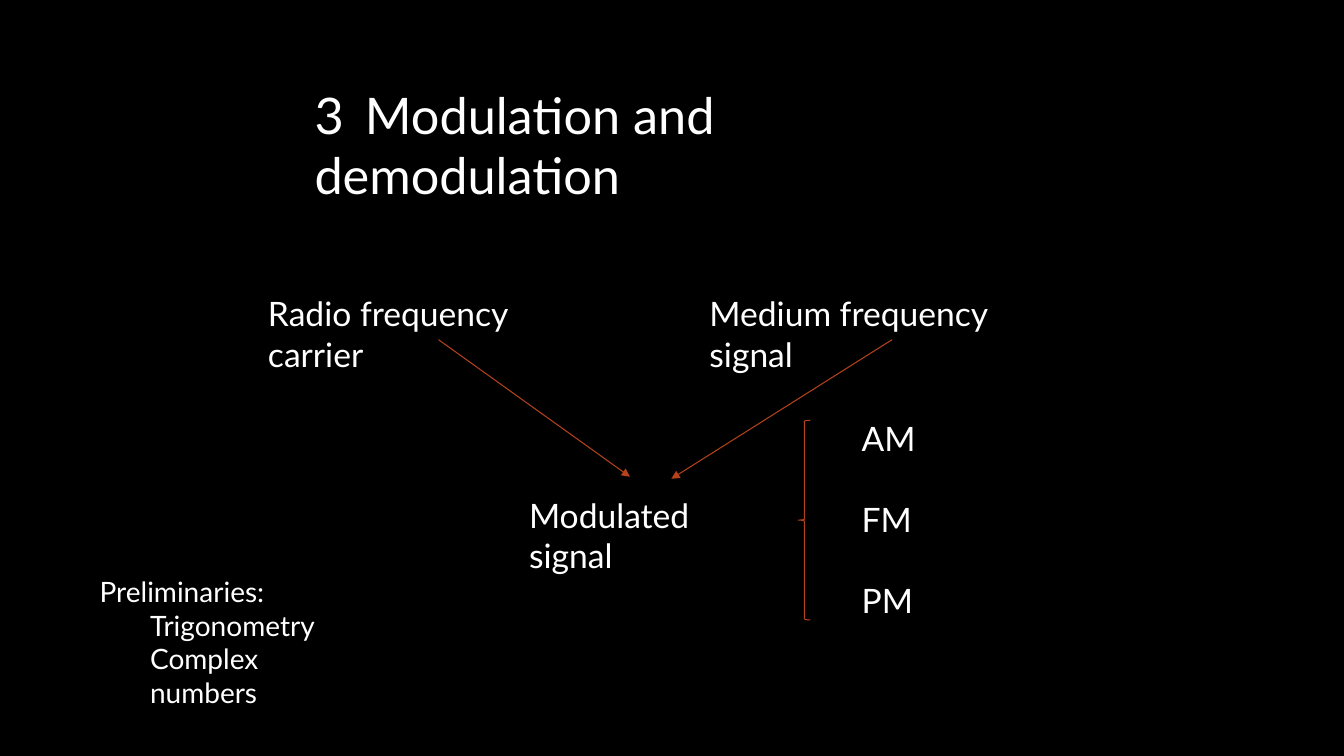
from lxml import etree
from pptx import Presentation
from pptx.dml.color import RGBColor
from pptx.enum.shapes import MSO_CONNECTOR, MSO_SHAPE
from pptx.enum.text import MSO_ANCHOR, MSO_AUTO_SIZE, PP_ALIGN
from pptx.oxml.ns import qn
from pptx.util import Inches, Pt

LINE, BRACE = MSO_CONNECTOR.STRAIGHT, MSO_SHAPE.LEFT_BRACE
LEFT, TOP, FIXED = PP_ALIGN.LEFT, MSO_ANCHOR.TOP, MSO_AUTO_SIZE.NONE
WIDE, HIGH = Inches(13.33), Inches(7.5)
COLS, ROWS = 80, 45
BLACK, WHITE, RUST = "000000", "FFFFFF", "B4421A"
FRAME = {"word_wrap": True, "auto_size": FIXED, "vertical_anchor": TOP}


def tint(code):
    """Turn a hex string into a colour."""
    return RGBColor.from_string(code)


def spot(col, row):
    """Turn a grid point into slide lengths."""
    return round(WIDE * col / COLS), round(HIGH * row / ROWS)


def area(box, col, row, wide, high):
    """Turn a grid area inside a box into slide lengths."""
    return *spot(box[0] + col, box[1] + row), *spot(wide, high)


def style(item, form):
    """Set attributes from a dict of format values."""
    for name, value in form.items():
        setattr(item, name, value)


def write(shape, lines, size, gap=0):
    """Fill a shape with (text, level) lines."""
    frame = shape.text_frame
    style(frame, FRAME)
    for i, (text, level) in enumerate(lines):
        para = frame.paragraphs[0] if i == 0 else frame.add_paragraph()
        style(para, {"level": level, "alignment": LEFT,
                     "space_before": Pt(gap if i else 0)})
        run = para.add_run()
        run.text = text
        style(run.font, {"name": "Lato", "size": Pt(size)})
        run.font.color.rgb = tint(WHITE)


def label(slide, place, lines, size, gap=0):
    """Add a text box."""
    write(slide.shapes.add_textbox(*place), lines, size, gap)


def stroke(shape):
    """Give a shape the thin rust line."""
    shape.line.color.rgb = tint(RUST)
    shape.line.width = Pt(0.75)


def arrow(slide, start, end):
    """Add an arrow between two grid points."""
    link = slide.shapes.add_connector(LINE, *spot(*start), *spot(*end))
    stroke(link)
    tip = etree.SubElement(link.line._get_or_add_ln(), qn("a:tailEnd"))
    tip.set("type", "triangle")
    etree.SubElement(link._element.spPr, qn("a:effectLst"))


def heading(slide, box):
    """Place the title."""
    title = slide.shapes.title
    place = area(box, 0, 0, *box[2:])
    style(title, dict(zip(("left", "top", "width", "height"), place)))
    write(title, [("3\tModulation and demodulation", 0)], 36)


def flow(slide, box):
    """Place the two inputs, their arrows and the result."""
    parts = (("Radio frequency carrier", 0, 0, 21.4),
             ("Medium frequency signal", 26.28, 0, 22.9),
             ("Modulated signal", 15.54, 12, 15.6))
    for text, col, row, wide in parts:
        label(slide, area(box, col, row, wide, 3), [(text, 0)], 24)
    x, y = box[:2]
    for start, end in (((10.74, 3.06), (22.14, 11.22)),
                       ((37.74, 3.06), (24.6, 11.34))):
        arrow(slide, (x + start[0], y + start[1]), (x + end[0], y + end[1]))


def kinds(slide, box):
    """Place the brace and the kinds of modulation."""
    brace = slide.shapes.add_shape(BRACE, *area(box, 0, 0.42, 0.72, 11.88))
    brace.shadow.inherit = False
    brace.fill.background()
    stroke(brace)
    place = area(box, 3.18, 0, box[2] - 3.18, box[3])
    label(slide, place, [(name, 0) for name in ("AM", "FM", "PM")], 24, 28.8)


def basics(slide, box):
    """Place the list of preliminaries."""
    lines = [("Preliminaries:", 0), ("Trigonometry", 1), ("Complex numbers", 1)]
    label(slide, area(box, 0, 0, *box[2:]), lines, 20)


def main():
    """Build and save the slide."""
    deck = Presentation()
    style(deck, {"slide_width": WIDE, "slide_height": HIGH})
    slide = deck.slides.add_slide(deck.slide_layouts[5])
    fill = slide.background.fill
    fill.solid()
    fill.fore_color.rgb = tint(BLACK)
    heading(slide, (18.12, 4.68, 43.2, 4.26))
    flow(slide, (15.36, 17.16, 49.2, 15))
    kinds(slide, (47.52, 24.6, 7.92, 12.72))
    basics(slide, (5.34, 33.9, 17, 6.66))
    deck.save("out.pptx")


if __name__ == "__main__":
    main()
